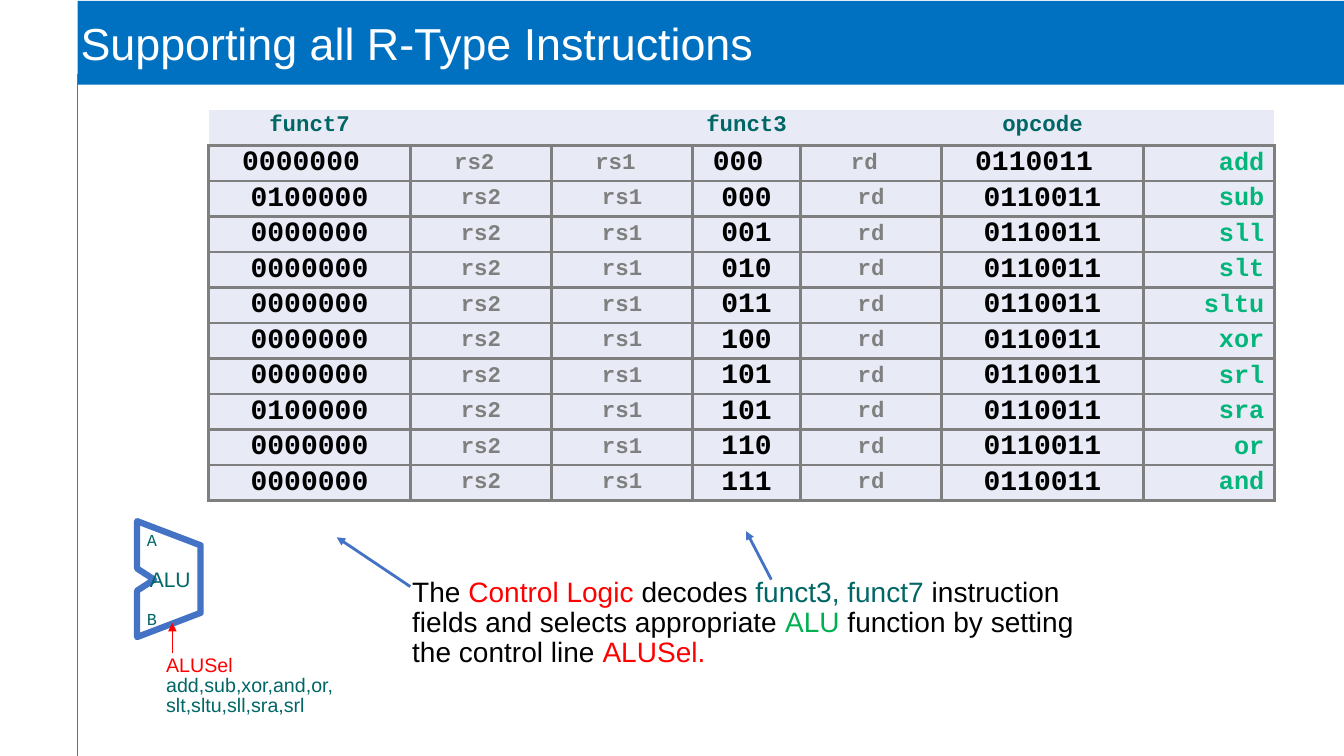
from lxml.etree import SubElement
from pptx import Presentation
from pptx.dml.color import RGBColor
from pptx.enum.shapes import MSO_CONNECTOR as Connector, MSO_SHAPE as Preset
from pptx.enum.text import MSO_ANCHOR as Anchor, MSO_AUTO_SIZE as AutoSize, PP_ALIGN as Align
from pptx.oxml.ns import qn
from pptx.util import Pt

PX = 9144
SANS, MONO = "Arial", "Courier New"
COLORS = {
    "banner": "0070C0", "white": "FFFFFF", "black": "000000", "blue": "4472C4",
    "red": "FF0000", "teal": "006666", "green": "00B050", "mint": "03B57A",
    "gray": "7F7F7F", "cell": "E8EBF5",
}
COLUMN_WIDTHS = [200, 140, 140, 107, 140, 200, 130]
COLUMN_STYLES = [(20, "black"), (16, "gray"), (16, "gray"), (20, "black"),
                 (16, "gray"), (20, "black"), (18, "mint")]
HEADER = ["funct7", "", "", "funct3", "", "opcode", ""]
INSTRUCTIONS = [
    ("0000000", "000", "add"), ("0100000", "000", "sub"), ("0000000", "001", "sll"),
    ("0000000", "010", "slt"), ("0000000", "011", "sltu"), ("0000000", "100", "xor"),
    ("0000000", "101", "srl"), ("0100000", "101", "sra"), ("0000000", "110", "or"),
    ("0000000", "111", "and"),
]
ROW_HEIGHT = 35
ALU_OUTLINE = [(136, 517), (136, 564), (153, 575), (136, 586), (136, 632), (199, 608), (199, 541)]


def px(*lengths):
    return [length * PX for length in lengths]


def rgb(name):
    return RGBColor.from_string(COLORS[name])


def style_font(font, size, color, face, bold=False):
    font.size = Pt(size)
    font.name = face
    font.bold = bold
    font.color.rgb = rgb(color)


def add_runs(paragraph, parts, size, face):
    for text, color in parts:
        run = paragraph.add_run()
        run.text = text
        style_font(run.font, size, color, face)


def add_banner(slide, text, box):
    shape = slide.shapes.add_shape(Preset.RECTANGLE, *px(*box))
    shape.shadow.inherit = False
    shape.fill.solid()
    shape.fill.fore_color.rgb = rgb("banner")
    shape.line.fill.background()
    frame = shape.text_frame
    frame.margin_left = frame.margin_right = frame.margin_top = frame.margin_bottom = 3 * PX
    frame.vertical_anchor = Anchor.MIDDLE
    frame.text = text
    paragraph = frame.paragraphs[0]
    paragraph.alignment = Align.LEFT
    style_font(paragraph.runs[0].font, 32, "white", SANS)


def add_line(slide, start, end, color, width, arrow=True):
    connector = slide.shapes.add_connector(Connector.STRAIGHT, *px(*start, *end))
    connector.line.color.rgb = rgb(color)
    connector.line.width = Pt(width)
    if arrow:
        SubElement(connector.line._get_or_add_ln(), qn("a:tailEnd"), type="triangle")
    SubElement(connector._element.spPr, qn("a:effectLst"))


def set_borders(cell, visible_sides):
    properties = cell._tc.get_or_add_tcPr()
    for side in "LRTB":
        line = SubElement(properties, qn(f"a:ln{side}"), w=str(Pt(2.25)))
        if side in visible_sides:
            fill = SubElement(line, qn("a:solidFill"))
            SubElement(fill, qn("a:srgbClr"), val=COLORS["gray"])
        else:
            SubElement(line, qn("a:noFill"))


def fill_cell(cell, text, size, color, align, anchor, borders):
    set_borders(cell, borders)
    cell.fill.solid()
    cell.fill.fore_color.rgb = rgb("cell")
    cell.vertical_anchor = anchor
    cell.text_frame.text = text
    paragraph = cell.text_frame.paragraphs[0]
    paragraph.alignment = align
    paragraph.line_spacing = 0.8
    if text:
        style_font(paragraph.runs[0].font, size, color, MONO, bold=True)
    else:
        end_properties = SubElement(paragraph._p, qn("a:endParaRPr"), sz=str(size * 100))
        SubElement(end_properties, qn("a:latin"), typeface=MONO)


def add_instruction_table(slide, left, top):
    row_count = len(INSTRUCTIONS) + 1
    size = sum(COLUMN_WIDTHS), ROW_HEIGHT * row_count
    table = slide.shapes.add_table(row_count, len(HEADER), *px(left, top, *size)).table
    table.horz_banding = False
    for column, width in zip(table.columns, COLUMN_WIDTHS):
        column.width = width * PX
    for row in table.rows:
        row.height = ROW_HEIGHT * PX
    for index, label in enumerate(HEADER):
        fill_cell(table.cell(0, index), label, 16, "teal", Align.CENTER, Anchor.TOP, "B")
    for row_index, (funct7, funct3, name) in enumerate(INSTRUCTIONS, 1):
        fields = [funct7, "rs2", "rs1", funct3, "rd", "0110011"]
        if row_index == 1:
            fields = [field + " " for field in fields]
        for index, (text, style) in enumerate(zip(fields + [name], COLUMN_STYLES)):
            align = Align.RIGHT if text == name else Align.CENTER
            anchor = Anchor.BOTTOM if index == 0 else Anchor.MIDDLE
            fill_cell(table.cell(row_index, index), text, *style, align, anchor, "LRTB")


def add_alu(slide):
    builder = slide.shapes.build_freeform(*ALU_OUTLINE[0], scale=PX)
    builder.add_line_segments(ALU_OUTLINE[1:], close=True)
    shape = builder.convert_to_shape()
    shape.shadow.inherit = False
    shape.fill.background()
    shape.line.color.rgb = rgb("blue")
    shape.line.width = Pt(4.5)
    frame = shape.text_frame
    frame.word_wrap = True
    frame.vertical_anchor = Anchor.MIDDLE
    frame.text = "A\nALU\nB"
    styles = [(12, MONO, Align.LEFT), (15, SANS, Align.RIGHT), (12, MONO, Align.LEFT)]
    for index, (paragraph, (size, face, align)) in enumerate(zip(frame.paragraphs, styles)):
        paragraph.alignment = align
        if index:
            paragraph.space_before = Pt(12)
        style_font(paragraph.runs[0].font, size, "teal", face)


def add_text(slide, box, paragraphs, size, spacing, anchor, auto_size):
    frame = slide.shapes.add_textbox(*px(*box)).text_frame
    frame.word_wrap = True
    frame.auto_size = auto_size
    frame.vertical_anchor = anchor
    for index, parts in enumerate(paragraphs):
        paragraph = frame.add_paragraph() if index else frame.paragraphs[0]
        paragraph.line_spacing = spacing
        add_runs(paragraph, parts, size, SANS)


def main():
    presentation = Presentation()
    presentation.slide_width, presentation.slide_height = px(1333, 750)
    slide = presentation.slides.add_slide(presentation.slide_layouts[6])
    add_banner(slide, "Supporting all R-Type Instructions", (77, 1, 1256, 83))
    add_line(slide, (77, 73), (77, 750), "blue", 0.75, arrow=False)
    add_instruction_table(slide, 207, 109)
    add_alu(slide)
    explanation = [
        ("The ", "black"), ("Control Logic ", "red"), ("decodes ", "black"),
        ("funct3, funct7 ", "teal"),
        ("instruction fields and selects appropriate ", "black"), ("ALU ", "green"),
        ("function by setting the control line ", "black"), ("ALUSel.", "red"),
    ]
    add_text(slide, (399, 561, 681, 115), [explanation], 20, 0.9, Anchor.MIDDLE, AutoSize.NONE)
    add_line(slide, (171, 648), (171, 618), "red", 1)
    selection = [[("ALUSel", "red")], [("add,sub,xor,and,or,slt,sltu,sll,sra,srl", "teal")]]
    add_text(slide, (155, 646, 187, 70), selection, 14, 0.85, Anchor.TOP,
             AutoSize.SHAPE_TO_FIT_TEXT)
    add_line(slide, (407, 582), (334, 533), "blue", 2)
    add_line(slide, (765, 575), (740, 527), "blue", 2)
    presentation.save("out.pptx")


if __name__ == "__main__":
    main()
